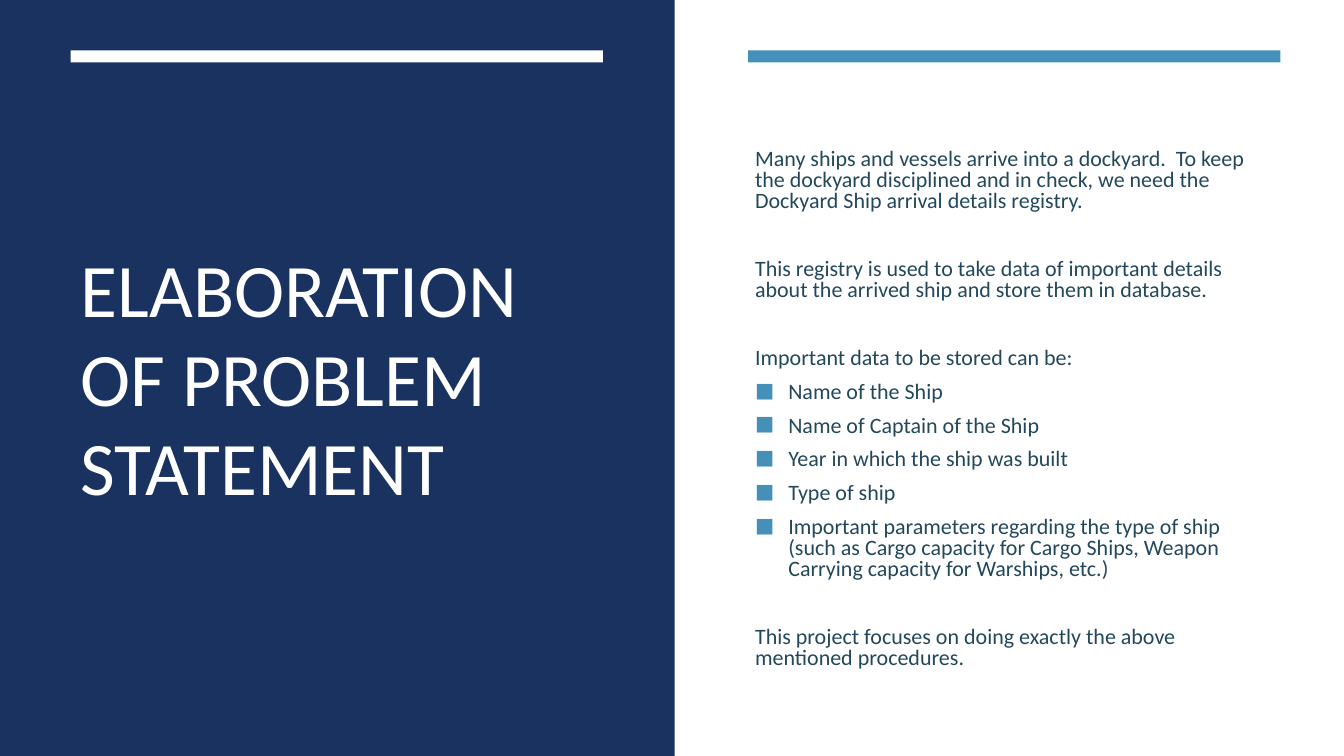
from lxml import etree
from pptx import Presentation
from pptx.dml.color import RGBColor
from pptx.enum.shapes import MSO_SHAPE
from pptx.enum.text import MSO_ANCHOR, MSO_AUTO_SIZE, PP_ALIGN
from pptx.oxml.ns import qn
from pptx.util import Inches, Pt

RECTANGLE = MSO_SHAPE.RECTANGLE
MIDDLE = MSO_ANCHOR.MIDDLE
NO_AUTOFIT = MSO_AUTO_SIZE.NONE
LEFT = PP_ALIGN.LEFT

# Content
TITLE = "ELABORATION OF PROBLEM STATEMENT"
# Each group is a lead paragraph followed by its bullets
GROUPS = [
    ("Many ships and vessels arrive into a dockyard.  To keep the dockyard "
     "disciplined and in check, we need the Dockyard Ship arrival details registry.", []),
    ("This registry is used to take data of important details about the arrived "
     "ship and store them in database.", []),
    ("Important data to be stored can be:", [
        "Name of the Ship",
        "Name of Captain of the Ship",
        "Year in which the ship was built",
        "Type of ship",
        "Important parameters regarding the type of ship (such as Cargo capacity for "
        "Cargo Ships, Weapon Carrying capacity for Warships, etc.)",
    ]),
    ("This project focuses on doing exactly the above mentioned procedures.", []),
]

# Style
FONT = "Calibri"
COLORS = {"white": "FFFFFF", "navy": "1A3260", "blue": "4590B8", "text": "23485C"}
WIDTH, HEIGHT = 13.33, 7.5
BAR_TOP, BAR_WIDTH, BAR_HEIGHT = 0.5, 5.28, 0.12
BULLET_INDENT = Inches(0.33)
LINE_GAP, GROUP_GAP = Pt(3.1), Pt(27.4)

# Left, top, width, height, colour
RECTANGLES = [
    (0, 0, WIDTH, HEIGHT, "white"),
    (0, 0, 6.69, HEIGHT, "navy"),
    (0.7, BAR_TOP, BAR_WIDTH, BAR_HEIGHT, "white"),
    (7.42, BAR_TOP, BAR_WIDTH, BAR_HEIGHT, "blue"),
]


def add_rectangle(slide, left, top, width, height, color):
    shape = slide.shapes.add_shape(
        RECTANGLE, Inches(left), Inches(top), Inches(width), Inches(height))
    shape.shadow.inherit = False
    shape.fill.solid()
    shape.fill.fore_color.rgb = RGBColor.from_string(COLORS[color])
    shape.line.fill.background()


def prepare_frame(frame):
    frame.word_wrap = True
    frame.auto_size = NO_AUTOFIT
    frame.vertical_anchor = MIDDLE


def format_runs(paragraph, size, color):
    paragraph.alignment = LEFT
    for run in paragraph.runs:
        run.font.name = FONT
        run.font.size = Pt(size)
        run.font.color.rgb = RGBColor.from_string(COLORS[color])


def add_bullet(paragraph):
    properties = paragraph._p.get_or_add_pPr()
    properties.set("marL", str(BULLET_INDENT))
    properties.set("indent", str(-BULLET_INDENT))
    bullet_color = etree.SubElement(properties, qn("a:buClr"))
    etree.SubElement(bullet_color, qn("a:srgbClr"), val=COLORS["blue"])
    etree.SubElement(properties, qn("a:buSzPct"), val="92000")
    etree.SubElement(properties, qn("a:buFont"), typeface=FONT)
    etree.SubElement(properties, qn("a:buChar"), char="■")


def main():
    presentation = Presentation()
    presentation.slide_width = Inches(WIDTH)
    presentation.slide_height = Inches(HEIGHT)
    slide = presentation.slides.add_slide(presentation.slide_layouts[5])

    # Panels and accent bars
    for rectangle in RECTANGLES:
        add_rectangle(slide, *rectangle)

    # Title, brought in front of the panels
    title = slide.shapes.title
    slide.shapes._spTree.append(title._element)
    title.left, title.top = Inches(0.7), Inches(1.13)
    title.width = title.height = Inches(5.28)
    prepare_frame(title.text_frame)
    title.text_frame.text = TITLE
    paragraph = title.text_frame.paragraphs[0]
    paragraph.line_spacing = 0.98
    format_runs(paragraph, 54, "white")

    # Body text
    body = slide.shapes.add_textbox(Inches(7.39), Inches(1.13), Inches(5.31), Inches(5.87))
    frame = body.text_frame
    prepare_frame(frame)
    for group_index, (lead, bullets) in enumerate(GROUPS):
        for line_index, text in enumerate([lead, *bullets]):
            is_bullet = line_index > 0
            is_first = group_index == 0 and not is_bullet
            paragraph = frame.paragraphs[0] if is_first else frame.add_paragraph()
            paragraph.text = text
            if is_bullet:
                add_bullet(paragraph)
            paragraph.line_spacing = 0.8
            paragraph.space_after = Pt(6)
            if not is_first:
                paragraph.space_before = LINE_GAP if is_bullet else GROUP_GAP
            format_runs(paragraph, 15.7, "text")

    presentation.save("out.pptx")


if __name__ == "__main__":
    main()
